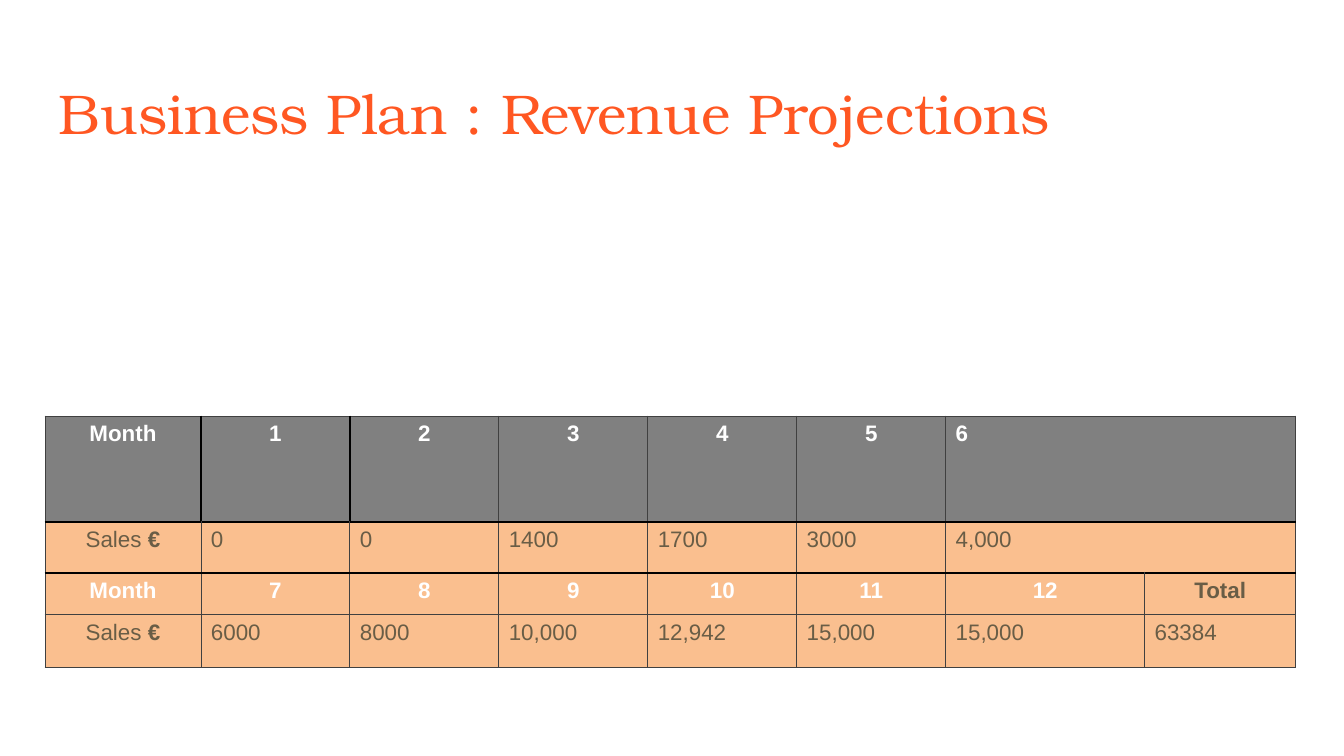
from lxml.etree import SubElement
from pptx import Presentation
from pptx.dml.color import RGBColor
from pptx.enum.text import MSO_ANCHOR, PP_ALIGN
from pptx.oxml.ns import qn
from pptx.util import Emu, Pt

EMU_PER_PX = 914400 / 134.4

ORANGE, PEACH, GREY = "FF5722", "FABF8F", "808080"
WHITE, BROWN, BLACK, DARK = "FFFFFF", "695D46", "000000", "404040"

TITLE_FONT = {"name": "TeX Gyre Bonum", "size": Pt(30), "bold": False}
CELL_FONT = {"name": "Arial", "size": Pt(12)}

COLUMN_WIDTHS = [156] + [149] * 5 + [199, 151]
ROW_HEIGHTS = [106, 51, 42, 53]
ROWS = [
    ["Month", "1", "2", "3", "4", "5", "6"],
    ["Sales €", "0", "0", "1400", "1700", "3000", "4,000"],
    ["Month", "7", "8", "9", "10", "11", "12", "Total"],
    ["Sales €", "6000", "8000", "10,000", "12,942", "15,000", "15,000", "63384"],
]
THICK_ROW_EDGES = (1, 2)
THICK_HEADER_EDGES = (1, 2)


def px(length):
    return Emu(round(length * EMU_PER_PX))


def color(hex_string):
    return RGBColor.from_string(hex_string)


def set_attributes(target, values):
    for name, value in values.items():
        setattr(target, name, value)


def add_run(paragraph, text, font_values, hex_string):
    run = paragraph.add_run()
    run.text = text
    set_attributes(run.font, font_values)
    run.font.color.rgb = color(hex_string)


def add_title(slide, left, top, width, height):
    shape = slide.shapes.add_textbox(px(left), px(top), px(width), px(height))
    frame = shape.text_frame
    inset = px(13)
    set_attributes(frame, {
        "word_wrap": True, "vertical_anchor": MSO_ANCHOR.TOP,
        "margin_left": inset, "margin_right": inset,
        "margin_top": inset, "margin_bottom": inset,
    })
    add_run(frame.paragraphs[0], "Business Plan : Revenue Projections", TITLE_FONT, ORANGE)


def set_borders(cell, row, column):
    """Thin dark edges, with thick black ones at the listed grid lines."""
    properties = cell._tc.get_or_add_tcPr()
    edges = {
        "L": row == 0 and column in THICK_HEADER_EDGES,
        "R": row == 0 and column + 1 in THICK_HEADER_EDGES,
        "T": row in THICK_ROW_EDGES,
        "B": row + 1 in THICK_ROW_EDGES,
    }
    for side, thick in edges.items():
        line = SubElement(properties, qn(f"a:ln{side}"), w=str(Pt(1.5 if thick else 0.5)))
        fill = SubElement(line, qn("a:solidFill"))
        SubElement(fill, qn("a:srgbClr"), val=BLACK if thick else DARK)


def write_cell(cell, text, row, column):
    is_month = row % 2 == 0
    paragraph = cell.text_frame.paragraphs[0]
    centered = column == 0 or (is_month and text != "6")
    set_attributes(paragraph, {
        "alignment": PP_ALIGN.CENTER if centered else PP_ALIGN.LEFT,
        "line_spacing": 1.2,
    })
    text_color = WHITE if is_month and text != "Total" else BROWN
    label, euro, _ = text.partition("€")
    add_run(paragraph, label, {**CELL_FONT, "bold": is_month}, text_color)
    if euro:
        add_run(paragraph, euro, {**CELL_FONT, "bold": True}, text_color)


def add_revenue_table(slide, left, top):
    frame = slide.shapes.add_table(
        len(ROW_HEIGHTS), len(COLUMN_WIDTHS), px(left), px(top),
        px(sum(COLUMN_WIDTHS)), px(sum(ROW_HEIGHTS)))
    table = frame.table
    set_attributes(table, {"first_row": False, "horz_banding": False})
    for column, width in zip(table.columns, COLUMN_WIDTHS):
        column.width = px(width)
    for row, height in zip(table.rows, ROW_HEIGHTS):
        row.height = px(height)

    # Cell formats and text
    for row, texts in enumerate(ROWS):
        for column in range(len(COLUMN_WIDTHS)):
            cell = table.cell(row, column)
            set_attributes(cell, {
                "margin_left": px(10), "margin_right": px(10),
                "margin_top": 0, "margin_bottom": 0,
                "vertical_anchor": MSO_ANCHOR.TOP,
            })
            set_borders(cell, row, column)
            cell.fill.solid()
            cell.fill.fore_color.rgb = color(GREY if row == 0 else PEACH)
            if column < len(texts):
                write_cell(cell, texts[column], row, column)

        # A short row stretches its last value to the right edge
        if len(texts) < len(COLUMN_WIDTHS):
            last = table.cell(row, len(texts) - 1)
            last.merge(table.cell(row, len(COLUMN_WIDTHS) - 1))


def main():
    presentation = Presentation()
    presentation.slide_width = px(1344)
    presentation.slide_height = px(756)
    slide = presentation.slides.add_slide(presentation.slide_layouts[6])
    add_title(slide, 46, 66, 1252, 85)
    add_revenue_table(slide, 45, 416)
    presentation.save("out.pptx")


if __name__ == "__main__":
    main()
